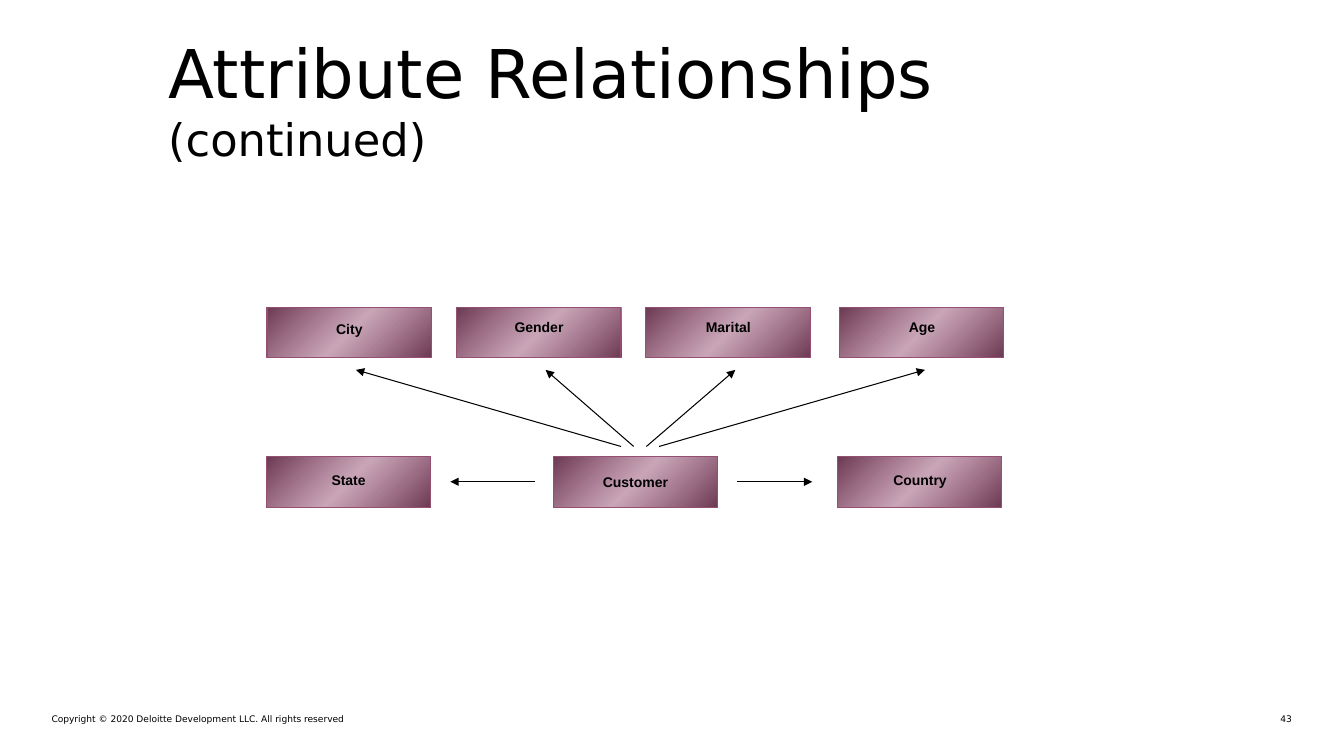
from lxml import etree
from pptx import Presentation
from pptx.dml.color import RGBColor
from pptx.enum.shapes import MSO_CONNECTOR, MSO_SHAPE
from pptx.enum.text import MSO_ANCHOR, PP_ALIGN
from pptx.oxml import parse_xml
from pptx.oxml.ns import nsdecls, qn
from pptx.util import Cm, Pt

STRAIGHT = MSO_CONNECTOR.STRAIGHT
RECTANGLE = MSO_SHAPE.RECTANGLE
TOP, MIDDLE = MSO_ANCHOR.TOP, MSO_ANCHOR.MIDDLE
LEFT, CENTER, RIGHT = PP_ALIGN.LEFT, PP_ALIGN.CENTER, PP_ALIGN.RIGHT

COLORS = {"text": "000000", "edge": "954F72", "dark": "6B3952", "light": "954F72"}
NODE_WIDTH, NODE_HEIGHT = 4.14, 1.27
LOWER_ROW = 3.76
NODES = [
    ("Customer", 7.23, LOWER_ROW, 0.3),
    ("City", 0.02, 0, 0.2),
    ("State", 0, LOWER_ROW, 0.23),
    ("Country", 14.4, LOWER_ROW, 0.23),
    ("Gender", 4.8, 0, 0.15),
    ("Marital", 9.57, 0, 0.15),
    ("Age", 14.45, 0, 0.15),
]


def add_text(page, box, spans, font="DejaVu Sans", bold=False, align=LEFT, anchor=TOP):
    """Add a text box holding one paragraph of (text, size) spans."""
    frame = page.shapes.add_textbox(*(Cm(length) for length in box)).text_frame
    frame.word_wrap = True
    frame.vertical_anchor = anchor
    frame.margin_left = frame.margin_right = frame.margin_top = frame.margin_bottom = 0
    para = frame.paragraphs[0]
    para.alignment = align
    for text, size in spans:
        span = para.add_run()
        span.text = text
        span.font.name = font
        span.font.size = Pt(size)
        span.font.bold = bold
        span.font.color.rgb = RGBColor.from_string(COLORS["text"])


def add_node(page, box, label, label_drop):
    """Add a gradient rectangle with its label."""
    left, top, width, height = box
    node = page.shapes.add_shape(RECTANGLE, *(Cm(length) for length in box))
    node.shadow.inherit = False
    node.line.color.rgb = RGBColor.from_string(COLORS["edge"])
    node.line.width = Pt(0.75)
    node.fill.background()
    gradient = parse_xml(
        f'<a:gradFill {nsdecls("a")} rotWithShape="1"><a:gsLst>'
        f'<a:gs pos="0"><a:srgbClr val="{COLORS["dark"]}"/></a:gs>'
        f'<a:gs pos="50000"><a:srgbClr val="{COLORS["light"]}"><a:alpha val="50000"/></a:srgbClr></a:gs>'
        f'<a:gs pos="100000"><a:srgbClr val="{COLORS["dark"]}"/></a:gs>'
        '</a:gsLst><a:lin ang="2700000" scaled="0"/></a:gradFill>'
    )
    properties = node._element.spPr
    properties.replace(properties.find(qn("a:noFill")), gradient)
    add_text(page, (left + 0.32, top + label_drop, width - 0.63, 0.69), [(label, 10)],
             font="Arial", bold=True, align=CENTER, anchor=MIDDLE)


def add_arrow(page, start, end, weight):
    """Add a straight arrow pointing at its end."""
    points = (Cm(length) for length in (*start, *end))
    arrow = page.shapes.add_connector(STRAIGHT, *points)
    arrow.line.color.rgb = RGBColor.from_string(COLORS["text"])
    arrow.line.width = Pt(weight)
    etree.SubElement(arrow.line._get_or_add_ln(), qn("a:tailEnd"), type="triangle")
    etree.SubElement(arrow._element.spPr, qn("a:effectLst"))


def add_title(page, box):
    """Add the slide title with its smaller continuation mark."""
    add_text(page, box, [("Attribute Relationships ", 48), ("(continued)", 32)], anchor=MIDDLE)


def add_diagram(page, left, top):
    """Add the customer node and arrows to its attributes."""
    for label, x, y, label_drop in NODES:
        add_node(page, (left + x, top + y, NODE_WIDTH, NODE_HEIGHT), label, label_drop)
    for index in range(4):
        start = (left + 8.94 + 0.32 * index, top + 3.5)
        end = (left + 2.26 + 4.78 * index, top + 1.57)
        add_arrow(page, start, end, 0.75)
    for start_x, end_x in ((6.78, 4.64), (11.86, 13.76)):
        add_arrow(page, (left + start_x, top + 4.39), (left + end_x, top + 4.39), 1)


def add_footer(page, left, top, width):
    """Add the copyright line and the page number."""
    add_text(page, (left, top, 14.88, 0.28),
             [("Copyright © 2020 Deloitte Development LLC. All rights reserved", 6.5)])
    add_text(page, (left + width - 0.86, top, 0.86, 0.28), [("43", 6.5)], align=RIGHT)


def main():
    """Build and save the deck."""
    deck = Presentation()
    deck.slide_width, deck.slide_height = Cm(33.87), Cm(19.05)
    page = deck.slides.add_slide(deck.slide_layouts[6])
    add_footer(page, 1.3, 17.98, 31.26)
    add_diagram(page, 6.71, 7.75)
    add_title(page, (4.24, 0.64, 23.29, 3.68))
    deck.save("out.pptx")


if __name__ == "__main__":
    main()
